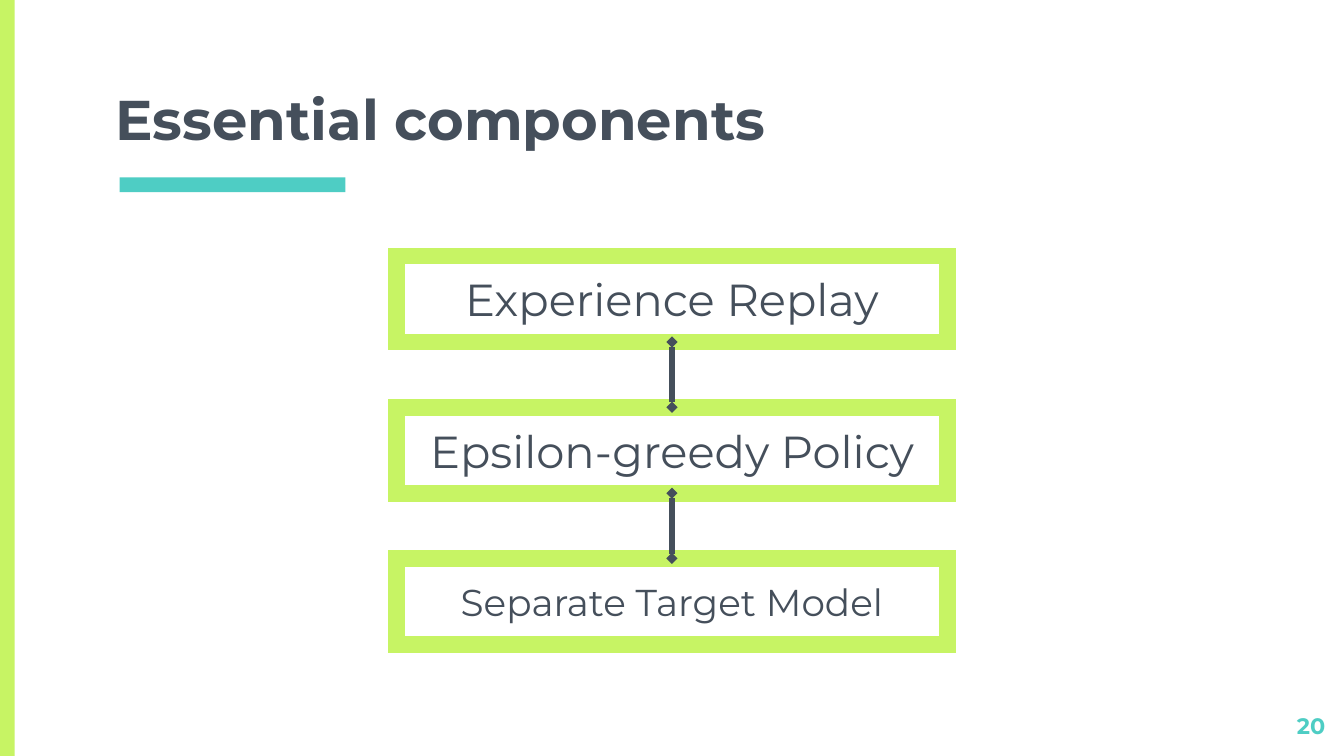
from dataclasses import dataclass
from itertools import pairwise

from lxml.etree import SubElement
from pptx import Presentation
from pptx.dml.color import RGBColor
from pptx.enum.shapes import MSO_CONNECTOR, MSO_SHAPE
from pptx.enum.text import MSO_ANCHOR, PP_ALIGN
from pptx.oxml.ns import qn
from pptx.shapes.autoshape import Shape
from pptx.slide import Slide
from pptx.util import Inches, Pt

WIDTH = 10
HEIGHT = WIDTH * 9 / 16
BOX_WIDTH, BOX_HEIGHT = 4.1, 0.64
BOX_LEFT = (WIDTH - BOX_WIDTH) / 2
ROW_STEP = HEIGHT / 5
FIRST_TOP = 3.03 - ROW_STEP
TOP, BOTTOM = 0, 2  # connection sites of a rectangle


@dataclass(frozen=True)
class Theme:
    font: str = "Montserrat"
    ink: RGBColor = RGBColor(0x45, 0x4F, 0x5B)
    lime: RGBColor = RGBColor(0xC7, 0xF4, 0x64)
    teal: RGBColor = RGBColor(0x4E, 0xCD, 0xC4)
    title_size: int = 30
    box_size: int = 24
    small_box_size: int = 20
    number_size: int = 12
    frame_width: int = 9
    link_width: int = 3


@dataclass(frozen=True)
class Component:
    name: str
    size: int


THEME = Theme()
COMPONENTS = [
    Component("Experience Replay", THEME.box_size),
    Component("Epsilon-greedy Policy", THEME.box_size),
    Component("Separate Target Model", THEME.small_box_size),
]


def write(s: Shape, text: str, size: int, color: RGBColor, align: PP_ALIGN,
          anchor: MSO_ANCHOR, bold: bool = False) -> None:
    tf = s.text_frame
    tf.word_wrap = True
    tf.vertical_anchor = anchor
    tf.margin_left = tf.margin_right = tf.margin_top = tf.margin_bottom = Inches(0.1)
    tf.text = text
    p = tf.paragraphs[0]
    p.alignment = align
    p.font.name = THEME.font
    p.font.size = Pt(size)
    p.font.bold = bold
    p.font.color.rgb = color


def add_rectangle(slide: Slide, left: float, top: float,
                  width: float, height: float) -> Shape:
    s = slide.shapes.add_shape(MSO_SHAPE.RECTANGLE, Inches(left), Inches(top),
                               Inches(width), Inches(height))
    s.shadow.inherit = False
    return s


def add_bar(slide: Slide, left: float, top: float, width: float,
            height: float, color: RGBColor) -> None:
    s = add_rectangle(slide, left, top, width, height)
    s.fill.solid()
    s.fill.fore_color.rgb = color
    s.line.fill.background()


def add_component(slide: Slide, row: int, component: Component) -> Shape:
    s = add_rectangle(slide, BOX_LEFT, FIRST_TOP + row * ROW_STEP, BOX_WIDTH, BOX_HEIGHT)
    s.fill.background()
    s.line.color.rgb = THEME.lime
    s.line.width = Pt(THEME.frame_width)
    SubElement(s.line._get_or_add_ln(), qn("a:miter"), lim="800000")
    write(s, component.name, component.size, THEME.ink, PP_ALIGN.CENTER, MSO_ANCHOR.MIDDLE)
    return s


def add_link(slide: Slide, upper: Shape, lower: Shape) -> None:
    """Join two boxes with a line that has a small diamond at each end."""
    link = slide.shapes.add_connector(MSO_CONNECTOR.STRAIGHT, 0, 0, 0, 0)
    link.begin_connect(upper, BOTTOM)
    link.end_connect(lower, TOP)
    link.line.color.rgb = THEME.ink
    link.line.width = Pt(THEME.link_width)
    ln = link.line._get_or_add_ln()
    for end in ("a:headEnd", "a:tailEnd"):
        SubElement(ln, qn(end), type="diamond", w="sm", len="sm")
    SubElement(link._element.spPr, qn("a:effectLst"))


def main() -> None:
    prs = Presentation()
    prs.slide_width, prs.slide_height = Inches(WIDTH), Inches(HEIGHT)
    slide = prs.slides.add_slide(prs.slide_layouts[5])

    add_bar(slide, 0, 0, 0.11, HEIGHT, THEME.lime)
    add_bar(slide, 0.89, 1.32, 1.68, 0.11, THEME.teal)

    title = slide.shapes.title
    title.left, title.top = Inches(0.76), Inches(0.69)
    title.width, title.height = Inches(8.49), Inches(0.54)
    write(title, "Essential components", THEME.title_size, THEME.ink,
          PP_ALIGN.LEFT, MSO_ANCHOR.BOTTOM, bold=True)

    boxes = [add_component(slide, row, c) for row, c in enumerate(COMPONENTS)]
    for upper, lower in pairwise(boxes):
        add_link(slide, upper, lower)

    number = slide.shapes.add_textbox(Inches(9.36), Inches(5.2), Inches(0.6), Inches(0.34))
    write(number, "20", THEME.number_size, THEME.teal,
          PP_ALIGN.RIGHT, MSO_ANCHOR.TOP, bold=True)

    prs.save("out.pptx")


if __name__ == "__main__":
    main()
